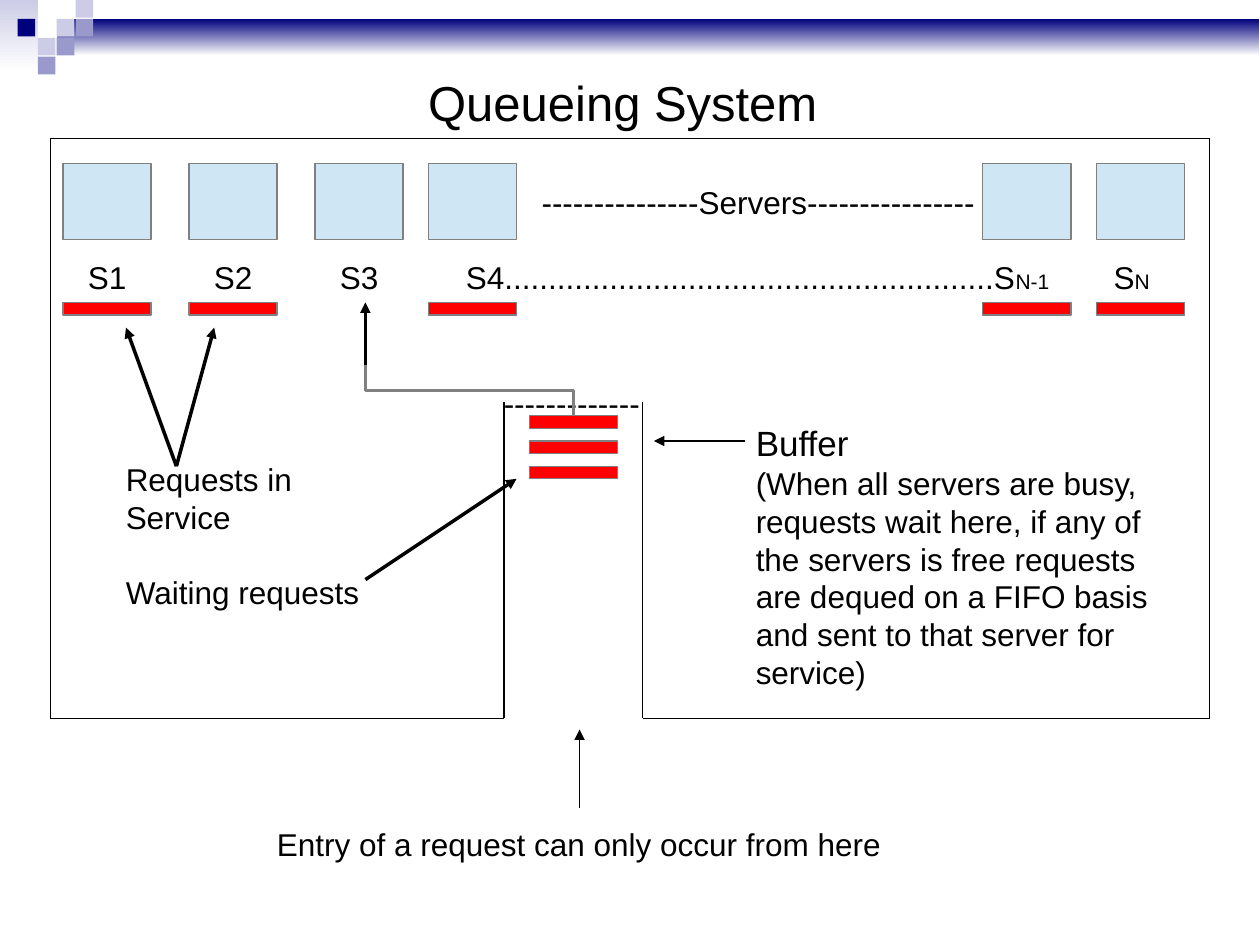
from dataclasses import dataclass

from lxml.etree import SubElement
from pptx import Presentation
from pptx.dml.color import RGBColor
from pptx.enum.shapes import MSO_CONNECTOR, MSO_SHAPE
from pptx.oxml.ns import qn
from pptx.util import Pt

EMU_PER_PX = 9144  # 100 px to the inch


def px(length):
    return round(length * EMU_PER_PX)


@dataclass(frozen=True)
class Theme:
    font: str = "Arial"
    ink: str = "000000"
    paper: str = "FFFFFF"
    navy: str = "00007D"
    lilac: str = "9999CC"
    pale_lilac: str = "CCCCE6"
    server: str = "CFE7F5"
    request: str = "FF0000"
    outline: str = "808080"
    title_size: int = 28
    heading_size: int = 20
    body_size: int = 18
    subscript_size: int = 12
    border: float = 0.75
    hairline: float = 0


class SlideBuilder:
    def __init__(self, slide, theme):
        self.shapes = slide.shapes
        self.theme = theme

    def box(self, left, top, width, height, fill, outlined=False):
        shape = self.shapes.add_shape(
            MSO_SHAPE.RECTANGLE, px(left), px(top), px(width), px(height))
        shape.shadow.inherit = False
        shape.fill.solid()
        shape.fill.fore_color.rgb = RGBColor.from_string(fill)
        if outlined:
            shape.line.color.rgb = RGBColor.from_string(self.theme.outline)
            shape.line.width = Pt(self.theme.border)
        else:
            shape.line.fill.background()
        return shape

    def fading_box(self, left, top, width, height, color):
        """Add a box that fades from color at its top to the paper colour."""
        fill = self.box(left, top, width, height, color).fill
        fill.gradient()
        fill.gradient_angle = 90
        for position, (stop, name) in enumerate(
                zip(fill.gradient_stops, (self.theme.paper, color))):
            stop.position = position
            stop.color.rgb = RGBColor.from_string(name)

    def text(self, left, top, width, height, paragraphs, wrap=True):
        """Add (text, size, space before) paragraphs and return them."""
        frame = self.shapes.add_textbox(
            px(left), px(top), px(width), px(height)).text_frame
        frame.word_wrap = wrap
        for index, (text, size, space_before) in enumerate(paragraphs):
            paragraph = frame.add_paragraph() if index else frame.paragraphs[0]
            paragraph.text = text
            if space_before:
                paragraph.space_before = Pt(space_before)
            self.style(paragraph.font, size)

    def tabbed_line(self, left, top, width, height, stops, runs):
        """Add one line of (text, size) runs with left tab stops in px."""
        frame = self.shapes.add_textbox(
            px(left), px(top), px(width), px(height)).text_frame
        frame.word_wrap = True
        paragraph = frame.paragraphs[0]
        tab_list = SubElement(
            paragraph._p.get_or_add_pPr(), qn("a:tabLst"))
        for stop in stops:
            SubElement(tab_list, qn("a:tab"), pos=str(px(stop)), algn="l")
        for text, size in runs:
            run = paragraph.add_run()
            run.text = text
            self.style(run.font, size)

    def style(self, font, size):
        font.name = self.theme.font
        font.size = Pt(size)
        font.color.rgb = RGBColor.from_string(self.theme.ink)

    def line(self, start, end, width, arrow=False, color=None,
             kind=MSO_CONNECTOR.STRAIGHT):
        connector = self.shapes.add_connector(
            kind, *(px(length) for length in (*start, *end)))
        connector.line.color.rgb = RGBColor.from_string(color or self.theme.ink)
        connector.line.width = Pt(width)
        if arrow:
            SubElement(connector.line._get_or_add_ln(),
                       qn("a:tailEnd"), type="triangle")
        SubElement(connector._element.spPr, qn("a:effectLst"))
        return connector

    def rising_elbow(self, start, end, width, color):
        """Add an elbow that leaves upwards, then turns left, then up."""
        middle_x = (start[0] + end[0]) / 2
        middle_y = (start[1] + end[1]) / 2
        half_run = (start[0] - end[0]) / 2
        half_rise = (start[1] - end[1]) / 2
        connector = self.line(
            (middle_x - half_rise, middle_y + half_run),
            (middle_x + half_rise, middle_y - half_run),
            width, color=color, kind=MSO_CONNECTOR.ELBOW)
        connector._element.spPr.find(qn("a:xfrm")).set("rot", str(270 * 60000))


def draw_banner(builder):
    theme = builder.theme
    builder.fading_box(0, 0, 30, 57, theme.pale_lilac)
    builder.fading_box(45, 15, 954, 29, theme.navy)
    squares = [
        (45, 15, theme.pale_lilac), (60, 0, theme.pale_lilac),
        (60, 15, theme.lilac), (30, 30, theme.pale_lilac),
        (14, 15, theme.navy), (45, 30, theme.lilac), (30, 45, theme.lilac)]
    for left, top, color in squares:
        builder.box(left, top, 14, 14, color)


def draw_system_outline(builder):
    left, top, right, bottom = 40, 110, 960, 570
    buffer_left, buffer_right, buffer_top = 400, 510, 319
    walls = [
        ((left, top), (right, top)),
        ((left, top), (left, bottom)),
        ((right, top), (right, bottom)),
        ((left, bottom), (buffer_left, bottom)),
        ((buffer_right, bottom), (right, bottom)),
        ((buffer_left, bottom), (buffer_left, buffer_top)),
        ((buffer_right, bottom), (buffer_right, buffer_top))]
    for start, end in walls:
        builder.line(start, end, builder.theme.border)


def draw_servers_and_requests(builder):
    theme = builder.theme
    free_server = 250
    for left in (50, 150, free_server, 340, 780, 870):
        builder.box(left, 130, 70, 60, theme.server, outlined=True)
        if left != free_server:
            builder.box(left, 240, 70, 10, theme.request, outlined=True)
    for waiting in range(3):
        builder.box(420, 330 + 20 * waiting, 70, 10, theme.request, outlined=True)


def draw_labels(builder):
    theme = builder.theme
    body, small = theme.body_size, theme.subscript_size
    builder.text(330, 53, 329, 57,
                 [("Queueing System", theme.title_size, 0)], wrap=False)
    builder.text(420, 140, 470, 40,
                 [("-" * 15 + "Servers" + "-" * 16, body, 0)])
    builder.tabbed_line(
        60, 200, 880, 40, (100, 200, 300, 814),
        [("S1\tS2\tS3\tS4" + "." * 56 + "S", body), ("N-1\t", small),
         ("S", body), ("N", small)])
    builder.text(390, 300, 130, 40, [("-" * 13, body, 0)])
    builder.text(590, 330, 360, 223, [
        ("Buffer", theme.heading_size, 0),
        ("(When all servers are busy, requests wait here, if any of the "
         "servers is free requests are dequed on a FIFO basis and sent to "
         "that server for service)", body, 0)])
    builder.text(90, 360, 240, 130, [
        ("Requests in", body, 0), ("Service", body, 0),
        ("Waiting requests", body, 21.6)])
    builder.text(210, 650, 590, 40,
                 [("Entry of a request can only occur from here", body, 0)])


def draw_arrows(builder):
    theme = builder.theme
    builder.line((591, 350), (519, 350), theme.border, arrow=True)
    builder.line((460, 641), (460, 579), theme.border, arrow=True)
    builder.rising_elbow((455, 330), (290, 290), theme.hairline, theme.outline)
    hairline_arrows = [
        ((290, 290), (290, 240)), ((140, 370), (100, 260)),
        ((140, 370), (170, 260)), ((290, 460), (410, 380))]
    for start, end in hairline_arrows:
        builder.line(start, end, theme.hairline, arrow=True)


def main():
    presentation = Presentation()
    presentation.slide_width, presentation.slide_height = px(1000), px(750)
    slide = presentation.slides.add_slide(presentation.slide_layouts[6])
    builder = SlideBuilder(slide, Theme())
    draw_banner(builder)
    draw_system_outline(builder)
    draw_servers_and_requests(builder)
    draw_labels(builder)
    draw_arrows(builder)
    presentation.save("out.pptx")


if __name__ == "__main__":
    main()
